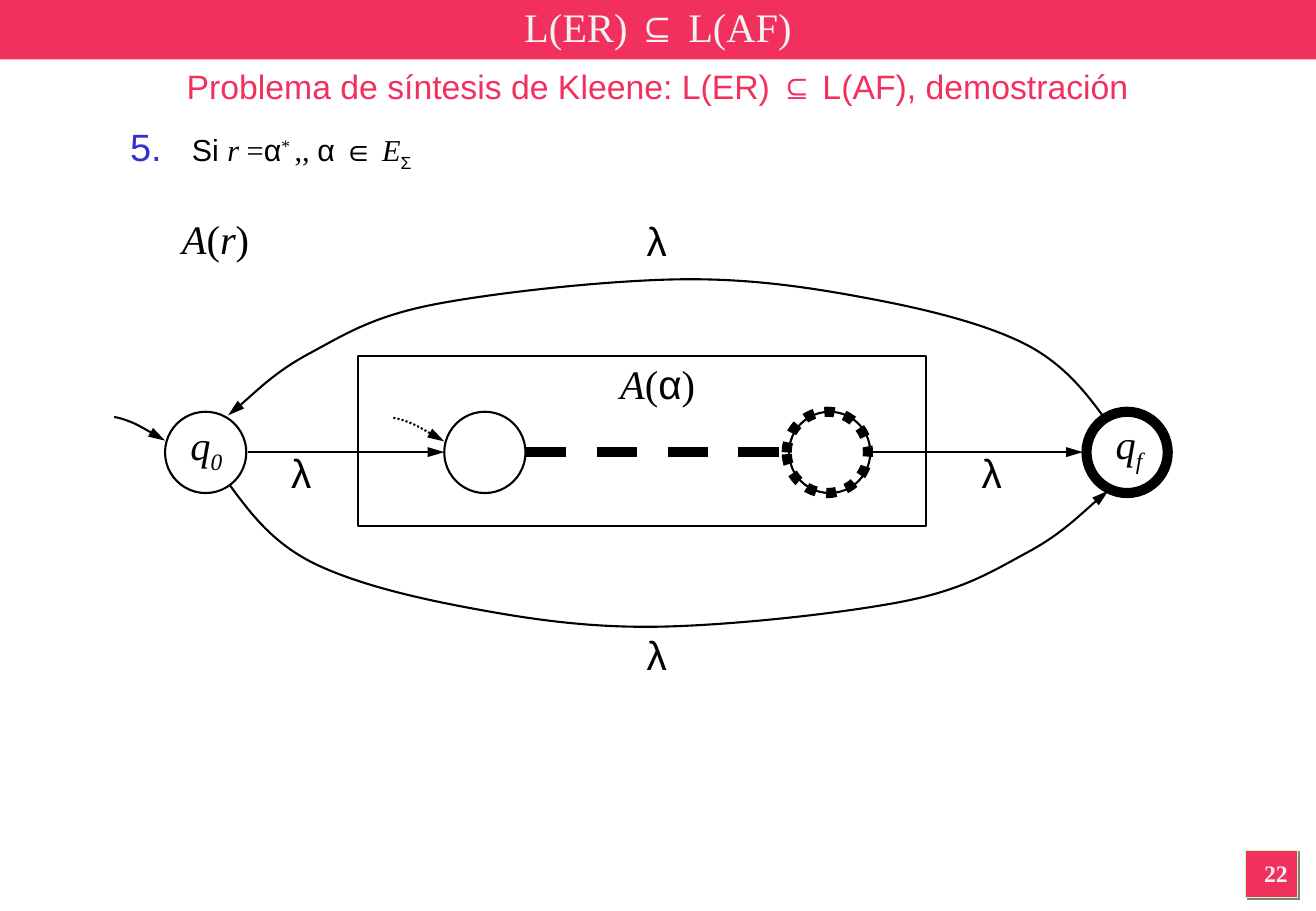
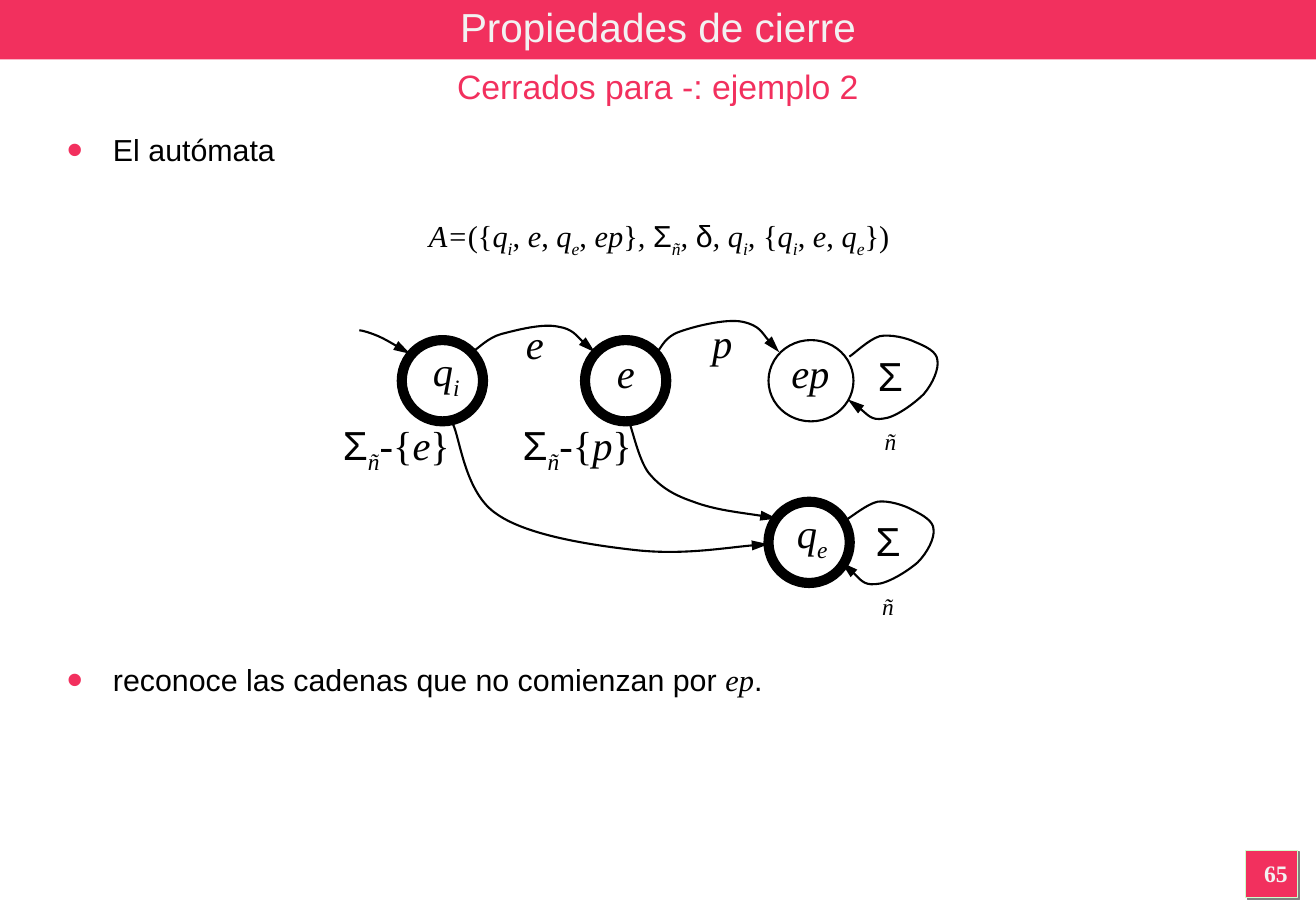
"""Builds two slides on finite automata and regular expressions."""
from dataclasses import dataclass
from typing import Optional, Sequence, Union

from lxml import etree
from pptx import Presentation
from pptx.dml.color import RGBColor
from pptx.enum.dml import MSO_LINE
from pptx.enum.shapes import MSO_CONNECTOR, MSO_SHAPE
from pptx.enum.text import MSO_AUTO_SIZE, PP_ALIGN
from pptx.oxml.ns import qn
from pptx.util import Pt

CENTER, LEFT = PP_ALIGN.CENTER, PP_ALIGN.LEFT
DASH, DOTS = MSO_LINE.DASH, MSO_LINE.ROUND_DOT
RECTANGLE, OVAL = MSO_SHAPE.RECTANGLE, MSO_SHAPE.OVAL
STRAIGHT = MSO_CONNECTOR.STRAIGHT
NO_AUTOFIT = MSO_AUTO_SIZE.NONE

SANS, SERIF = "Arial", "Times New Roman"
PINK, PALE, BLACK = "F2305E", "F2F2F2", "000000"
BLUE, MINT, GRAY = "3333CC", "CCFFCC", "808080"
SLIDE_WIDTH, SLIDE_HEIGHT = 780.48, 540
BAND_HEIGHT = 35.3
THIN, THICK = 1.25, 6
DIAMETER = 48.2
AXIS = 268

Point = tuple[float, float]


@dataclass(frozen=True)
class Run:
    """A piece of text in one format."""
    text: str
    font: str = SERIF
    italic: bool = False
    baseline: int = 0


@dataclass(frozen=True)
class Label:
    """A centred text placed by its middle and top."""
    center: float
    top: float
    runs: Sequence[Run]
    width: float = 60
    wrap: bool = False


@dataclass(frozen=True)
class State:
    """A circle of an automaton."""
    left: float
    top: float
    weight: float = THIN
    dash: Optional[MSO_LINE] = None
    width: float = DIAMETER


@dataclass(frozen=True)
class Bullet:
    """A list mark: a character, or the number it starts at."""
    mark: Union[str, int]
    color: str
    percent: int


@dataclass(frozen=True)
class Item:
    """A paragraph of the body."""
    runs: Sequence[Run]
    bullet: Optional[Bullet] = None
    level: int = 0
    margin: float = 0
    indent: float = 0
    before: float = 0
    align: PP_ALIGN = LEFT


def sans(text: str) -> Run:
    """Return an upright sans run."""
    return Run(text, SANS)


def italic(text: str) -> Run:
    """Return an italic serif run."""
    return Run(text, italic=True)


def sub(text: str) -> Run:
    """Return an italic subscript run."""
    return Run(text, italic=True, baseline=-25)


def indexed(index: str) -> list[Run]:
    """Return the state name q with its index."""
    return [italic("q"), sub(index)]


def rgb(color: str) -> RGBColor:
    """Turn a hex string into a colour."""
    return RGBColor.from_string(color)


def write_text(paragraph, runs: Sequence[Run], *, size: float = 24, color: str = BLACK,
               bold: bool = False, align: PP_ALIGN = CENTER) -> None:
    """Write formatted runs into a paragraph."""
    paragraph.alignment = align
    for piece in runs:
        run = paragraph.add_run()
        run.text = piece.text
        font = run.font
        font.name, font.size, font.bold, font.italic = piece.font, Pt(size), bold, piece.italic
        font.color.rgb = rgb(color)
        if piece.baseline:
            run._r.get_or_add_rPr().set("baseline", str(piece.baseline * 1000))


def style_line(shape, weight: float = THIN, color: str = BLACK,
               dash: Optional[MSO_LINE] = None, arrow: bool = False) -> None:
    """Set the outline of a shape or connector."""
    shape.line.color.rgb = rgb(color)
    shape.line.width = Pt(weight)
    if dash is not None:
        shape.line.dash_style = dash
    if arrow:
        line = shape.line._get_or_add_ln()
        etree.SubElement(line, qn("a:tailEnd"), type="triangle", w="med", len="lg")


def add_box(slide, preset: MSO_SHAPE, left: float, top: float, width: float, height: float,
            fill: Optional[str] = None):
    """Add a preset shape without a shadow."""
    shape = slide.shapes.add_shape(preset, Pt(left), Pt(top), Pt(width), Pt(height))
    shape.shadow.inherit = False
    if fill:
        shape.fill.solid()
        shape.fill.fore_color.rgb = rgb(fill)
    else:
        shape.fill.background()
    return shape


def add_label(slide, label: Label, *, size: float = 24, color: str = BLACK,
              bold: bool = False) -> None:
    """Add a centred text box."""
    box = slide.shapes.add_textbox(Pt(label.center - label.width / 2), Pt(label.top),
                                   Pt(label.width), Pt(size * 1.5))
    box.text_frame.word_wrap = label.wrap
    write_text(box.text_frame.paragraphs[0], label.runs, size=size, color=color, bold=bold)


def add_state(slide, state: State) -> None:
    """Add the circle of a state."""
    circle = add_box(slide, OVAL, state.left, state.top, state.width, DIAMETER)
    style_line(circle, state.weight, dash=state.dash)


def add_straight(slide, start: float, end: float, weight: float = THIN,
                 dash: Optional[MSO_LINE] = None, arrow: bool = True) -> None:
    """Add a horizontal connector on the axis of the automaton."""
    connector = slide.shapes.add_connector(STRAIGHT, Pt(start), Pt(AXIS), Pt(end), Pt(AXIS))
    style_line(connector, weight, dash=dash, arrow=arrow)
    etree.SubElement(connector.element.spPr, qn("a:effectLst"))


def add_curve(slide, points: Sequence[Point], dash: Optional[MSO_LINE] = None,
              rotation: float = 0) -> None:
    """Add an arrow along cubic curves: a start, then three points per curve."""
    start, *rest = [(Pt(x), Pt(y)) for x, y in points]
    builder = slide.shapes.build_freeform(*start)
    builder.add_line_segments(rest, close=False)
    shape = builder.convert_to_shape()
    shape.shadow.inherit = False
    shape.fill.background()
    shape.rotation = rotation
    style_line(shape, dash=dash, arrow=True)
    segments = list(shape.element.iter(qn("a:lnTo")))
    for first in range(0, len(segments), 3):
        curve = etree.Element(qn("a:cubicBezTo"))
        segments[first].addprevious(curve)
        for segment in segments[first:first + 3]:
            curve.append(segment[0])
            segment.getparent().remove(segment)


def add_entry(slide, left: float, top: float, dash: Optional[MSO_LINE] = None) -> None:
    """Add the short arrow that enters an initial state."""
    add_curve(slide, [(left + x, top + y) for x, y in ENTRY], dash)


def add_bullet(paragraph, bullet: Optional[Bullet]) -> None:
    """Give a paragraph its list mark, or none."""
    properties = paragraph._p.get_or_add_pPr()
    if bullet is None:
        etree.SubElement(properties, qn("a:buNone"))
        return
    color = etree.SubElement(properties, qn("a:buClr"))
    etree.SubElement(color, qn("a:srgbClr"), val=bullet.color)
    etree.SubElement(properties, qn("a:buSzPct"), val=str(bullet.percent * 1000))
    etree.SubElement(properties, qn("a:buFont"), typeface=SANS)
    if isinstance(bullet.mark, int):
        etree.SubElement(properties, qn("a:buAutoNum"), type="arabicPeriod",
                         startAt=str(bullet.mark))
    else:
        etree.SubElement(properties, qn("a:buChar"), char=bullet.mark)


def add_item(paragraph, item: Item) -> None:
    """Write one paragraph of the body."""
    paragraph.level = item.level
    properties = paragraph._p.get_or_add_pPr()
    properties.set("marL", str(Pt(item.margin)))
    properties.set("indent", str(Pt(item.indent)))
    add_bullet(paragraph, item.bullet)
    paragraph.space_before = Pt(item.before)
    write_text(paragraph, item.runs, size=18, align=item.align)


def prepare_layout(layout, slide) -> None:
    """Place the layout's title and body, and move the band and number box into it."""
    title, body = layout.placeholders[0], layout.placeholders[1]
    for holder, bounds in ((title, (0, 0, SLIDE_WIDTH, 31.7)), (body, (32.4, 74.2, 717, 435))):
        holder.left, holder.top, holder.width, holder.height = map(Pt, bounds)
    band = add_box(slide, RECTANGLE, 0, 0, SLIDE_WIDTH, BAND_HEIGHT, PINK)
    band.line.fill.background()
    number_box = add_box(slide, RECTANGLE, 738.7, 504, 31, 28.1, PINK)
    style_line(number_box, 0.75, MINT)
    effects = number_box.element.spPr.find(qn("a:effectLst"))
    shadow = etree.SubElement(effects, qn("a:outerShdw"), dist=str(Pt(1.4)), dir="2700000")
    etree.SubElement(shadow, qn("a:srgbClr"), val=GRAY)
    for offset, shape in enumerate((band, number_box)):
        shape.element.nvSpPr.cNvPr.set("id", str(100 + offset))
        layout.shapes.element.insert(2 + offset, shape.element)


def fill_slide(slide, title: Sequence[Run], subtitle: str, items: Sequence[Item],
               number: int) -> None:
    """Write the title, subtitle, body and page number."""
    for holder in slide.placeholders:
        holder.text_frame.auto_size = NO_AUTOFIT
    write_text(slide.shapes.title.text_frame.paragraphs[0], title, color=PALE)
    frame = slide.placeholders[1].text_frame
    for position, item in enumerate(items):
        add_item(frame.add_paragraph() if position else frame.paragraphs[0], item)
    heading = Label(SLIDE_WIDTH / 2, BAND_HEIGHT, [sans(subtitle)], SLIDE_WIDTH, True)
    add_label(slide, heading, size=20, color=PINK)
    add_label(slide, Label(756.7, 505.4, [Run(str(number))]), size=14, color=PALE, bold=True)


ENTRY = [(0, 0), (2.2, 0.2), (6.5, 1.5), (11.5, 3.6), (16.6, 6), (26.6, 12), (30.2, 14)]
SKIP = [(136.1, 287.3), (148.3, 303.8), (160.6, 320.4), (183.6, 332.6), (207.4, 344.9),
        (241.9, 353.5), (276.5, 360), (311, 366.5), (347, 372.2), (390.2, 371.5),
        (433.4, 370.8), (499.7, 363.6), (536.4, 356.4), (572.4, 349.2), (589, 338.4),
        (609.1, 327.6), (629.3, 316.8), (647.3, 298.8), (657.4, 290.9)]
REPEAT = [(792.7 - x, 537.1 - y) for x, y in SKIP]
LOOP = [(501.8, 308.2), (504.7, 306.7), (514.1, 298.8), (520.6, 297.4), (527, 296.6),
        (536.4, 299.5), (541.4, 302.4), (547.2, 305.3), (553.7, 308.9), (553.7, 313.9),
        (554.4, 319), (550.1, 327.6), (544.3, 333.4), (538.6, 338.4), (526.3, 346.3),
        (519.1, 346.3), (511.9, 347), (503.3, 336.2), (499, 333.4)]
UPPER_LOOP = [(x + 2.9, y - 98.6) for x, y in LOOP]
TRANSITIONS = [
    [(280.8, 208.1), (283.7, 206.6), (289.4, 200.2), (297.4, 198), (306, 195.8),
     (321.8, 191.5), (331.2, 193.7), (339.8, 195.1), (348.5, 205.9), (352.8, 208.8)],
    [(390.2, 208.1), (392.4, 205.9), (394.6, 199.4), (403.2, 196.6), (411.1, 193.7),
     (430.6, 188.6), (440.6, 190.8), (450.7, 193), (457.9, 205.2), (462.2, 208.8)],
    [(373, 249.8), (375.1, 254.9), (378.7, 272.2), (384.5, 280.1), (391, 288),
     (398.2, 293), (411.1, 297.4), (424.1, 302.4), (450.7, 305.3), (460.8, 307.4)],
    [(268.6, 251.3), (272.9, 259.9), (275.8, 292.3), (294.5, 304.6), (312.5, 317.5),
     (351.4, 323.3), (378, 326.2), (405.4, 329), (439.2, 323.3), (455.8, 322.6)],
]


def build_synthesis(slide) -> None:
    """Build the slide on the star of an expression."""
    runs = [sans("Si "), italic("r"), Run(" ="), sans("α"), Run("* ", baseline=30),
            Run(",, "), sans("α ∈ "), italic("E"), Run("Σ", SANS, baseline=-25)]
    fill_slide(slide, [Run("L(ER) "), sans("⊆"), Run(" L(AF)")],
               "Problema de síntesis de Kleene: L(ER) ⊆ L(AF), demostración",
               [Item(runs, Bullet(5, BLUE, 125), 1, 74.2, -36.7)], 22)
    style_line(add_box(slide, RECTANGLE, 212.4, 211, 337, 100.8))
    for state in (State(466.6, 244.1, THICK, DOTS), State(468, 244.1), State(263.5, 244.1),
                  State(97.9, 244.1), State(644.4, 244.1, THICK)):
        add_state(slide, state)
    add_straight(slide, 311.8, 467.3, THICK, DASH, arrow=False)
    add_straight(slide, 516.2, 642.2)
    add_straight(slide, 146.9, 263.5)
    add_entry(slide, 67.7, 247.2)
    add_entry(slide, 233.3, 247.7, DOTS)
    for points in (SKIP, REPEAT):
        add_curve(slide, points)
    empty_word = [sans("λ")]
    for label in (Label(390, 209.5, [italic("A"), Run("("), sans("α"), Run(")")]),
                  Label(127.8, 123.1, [italic("A"), Run("("), italic("r"), Run(")")]),
                  Label(122.4, 245.5, indexed("0")), Label(669.6, 244.8, indexed("f")),
                  Label(178.6, 262.1, empty_word), Label(588.2, 262.1, empty_word),
                  Label(389.5, 370.1, empty_word), Label(389.5, 124.6, empty_word)):
        add_label(slide, label)


def build_example(slide) -> None:
    """Build the slide on the complement of a language."""
    names = [*indexed("i"), Run(","), italic(" e"), Run(", "), *indexed("e")]
    formula = [italic("A="), Run("({"), *names, Run(","), italic(" ep"), Run("}"), italic(", "),
               sans("Σ"), sub("ñ"), italic(", "), sans("δ"), italic(", "), *indexed("i"),
               italic(", "), Run("{"), *names, Run("})")]
    dot = Bullet("•", PINK, 150)
    ending = [sans("reconoce las cadenas que no comienzan por "), italic("ep"), sans(".")]
    fill_slide(slide, [sans("Propiedades de cierre")], "Cerrados para -: ejemplo 2",
               [Item([sans("El autómata")], dot, 0, 27.4, -27.4),
                Item(formula, before=29.5, align=CENTER),
                Item(ending, dot, 0, 27.4, -27.4, 238.5)], 65)
    for state in (State(347, 201.6, THICK), State(238.3, 201.6, THICK),
                  State(455.8, 201.6, width=50.4), State(455.8, 297.4, THICK)):
        add_state(slide, state)
    add_entry(slide, 213.1, 195.8)
    for points in (*TRANSITIONS, LOOP):
        add_curve(slide, points)
    add_curve(slide, UPPER_LOOP, rotation=-4.1)
    alphabet = [sans("Σ"), sub("ñ")]
    for label in (Label(371.2, 203, [italic("e")]), Label(317.2, 185.8, [italic("e")]),
                  Label(264.6, 201.6, indexed("i")), Label(480.6, 203, [italic("ep")]),
                  Label(428.4, 185, [italic("p")]), Label(481.7, 297.4, indexed("e")),
                  Label(526.7, 302.4, alphabet, 34, True),
                  Label(528.1, 204.5, alphabet, 34, True)):
        add_label(slide, label)
    for center, letter in ((235.1, "e"), (342.4, "p")):
        rest = [*alphabet, italic("-"), Run("{"), italic(letter), Run("}")]
        add_label(slide, Label(center, 245.5, rest, 95.8))


def main() -> None:
    """Build and save the presentation."""
    presentation = Presentation()
    presentation.slide_width, presentation.slide_height = Pt(SLIDE_WIDTH), Pt(SLIDE_HEIGHT)
    layout = presentation.slide_layouts[1]
    synthesis, example = [presentation.slides.add_slide(layout) for _ in range(2)]
    prepare_layout(layout, synthesis)
    build_synthesis(synthesis)
    build_example(example)
    presentation.save("out.pptx")


if __name__ == "__main__":
    main()
